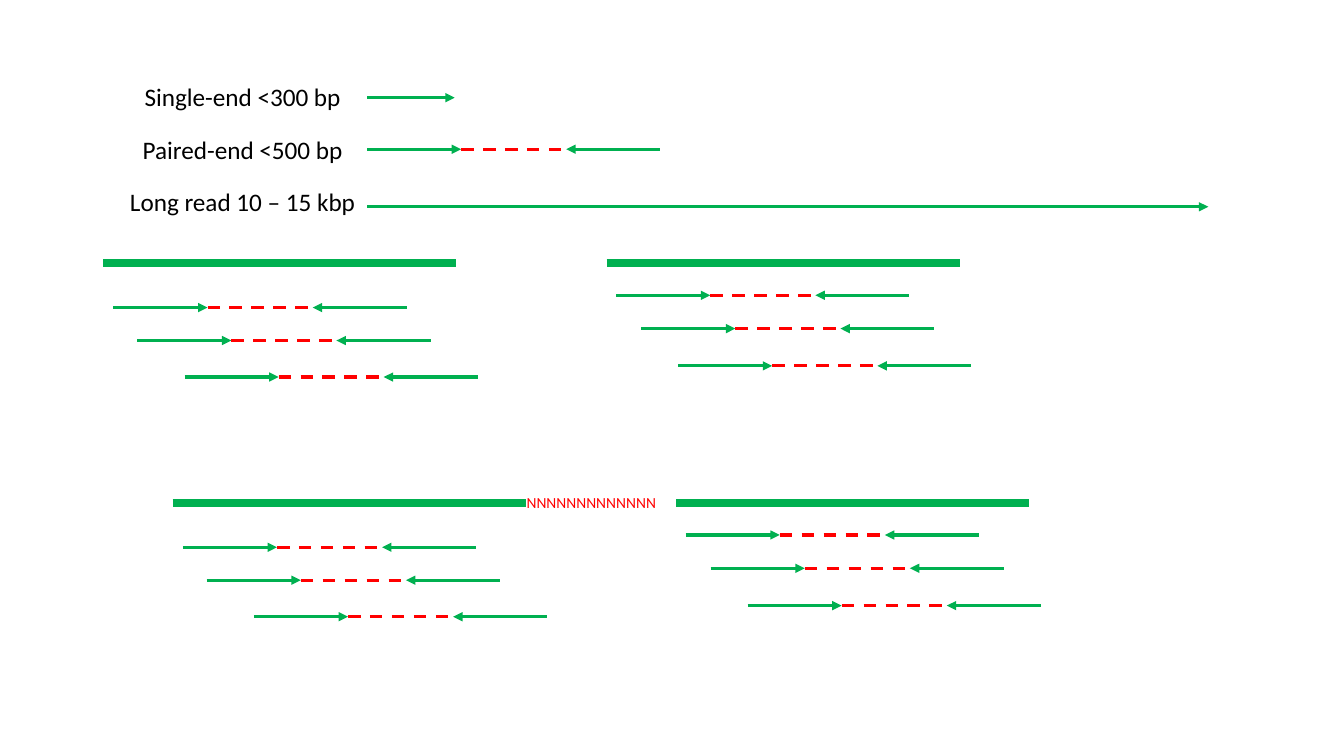
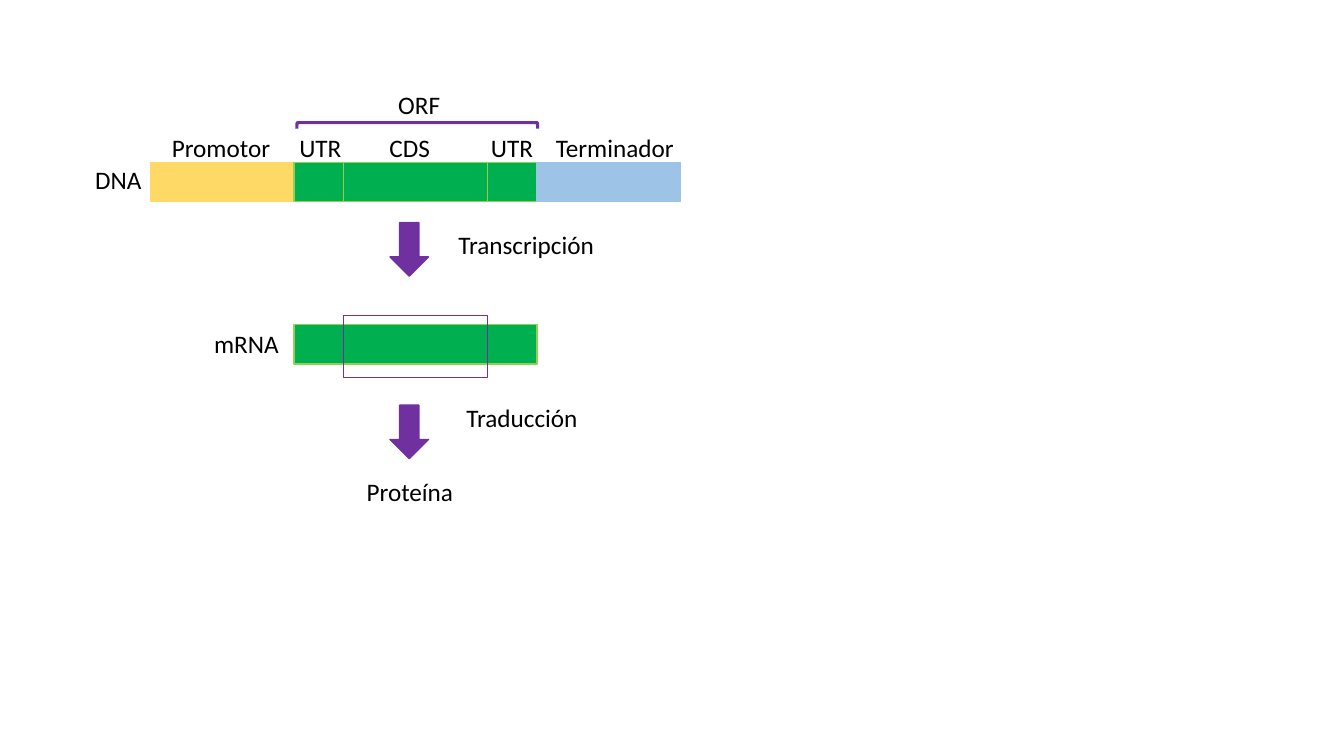
"""Builds two slides on sequencing reads and on gene expression."""
from dataclasses import dataclass

from lxml import etree
from pptx import Presentation
from pptx.dml.color import RGBColor
from pptx.enum.dml import MSO_LINE
from pptx.enum.shapes import MSO_CONNECTOR, MSO_SHAPE
from pptx.enum.text import MSO_AUTO_SIZE, PP_ALIGN
from pptx.oxml.ns import qn
from pptx.util import Cm, Pt

STRAIGHT = MSO_CONNECTOR.STRAIGHT
RECT, DOWN, BRACKET = MSO_SHAPE.RECTANGLE, MSO_SHAPE.DOWN_ARROW, MSO_SHAPE.LEFT_BRACKET
DASH = MSO_LINE.DASH
CENTER = PP_ALIGN.CENTER
FIT = MSO_AUTO_SIZE.SHAPE_TO_FIT_TEXT


@dataclass(frozen=True)
class Theme:
    """Colours, font, type sizes in points and line widths in points."""
    green: str = "00B050"
    lime: str = "92D050"
    red: str = "FF0000"
    purple: str = "7030A0"
    yellow: str = "FFD966"
    blue: str = "9DC3E6"
    black: str = "000000"
    font: str = "Calibri"
    label: int = 18
    gap: int = 11
    thin: float = 1
    read: float = 2.25
    contig: float = 6


class Deck:
    """Holds the style and the current slide; lengths are in centimetres."""

    def __init__(self, theme):
        """Start an empty wide presentation."""
        self.theme = theme
        self.prs = Presentation()
        self.prs.slide_width, self.prs.slide_height = Cm(33.87), Cm(19.05)
        self.slide = None

    def new_slide(self):
        """Add a blank slide and make it current."""
        self.slide = self.prs.slides.add_slide(self.prs.slide_layouts[6])

    def text(self, words, x, y, w, h=1.02, size=None, color=None):
        """Add a one-line label centred in its box."""
        sp = self.slide.shapes.add_textbox(Cm(x), Cm(y), Cm(w), Cm(h))
        tf = sp.text_frame
        tf.word_wrap = False
        tf.auto_size = FIT
        p = tf.paragraphs[0]
        p.alignment = CENTER
        r = p.add_run()
        r.text = words
        r.font.name = self.theme.font
        r.font.size = Pt(size or self.theme.label)
        r.font.color.rgb = RGBColor.from_string(color or self.theme.black)

    def line(self, x, y, length, color, width, arrow=None, dash=None):
        """Add a horizontal line, with an arrow at its head or tail end."""
        sp = self.slide.shapes.add_connector(STRAIGHT, Cm(x), Cm(y), Cm(x + length), Cm(y))
        sp.line.color.rgb = RGBColor.from_string(color)
        sp.line.width = Pt(width)
        if dash:
            sp.line.dash_style = dash
        props = sp.element.spPr
        if arrow:
            etree.SubElement(props.find(qn("a:ln")), qn(f"a:{arrow}End"), type="triangle")
        etree.SubElement(props, qn("a:effectLst"))

    def read(self, x, y, length):
        """Add a single read pointing right."""
        self.line(x, y, length, self.theme.green, self.theme.read, arrow="tail")

    def pair(self, x, y, read=2.37, insert=2.65):
        """Add two facing reads joined by a dashed insert."""
        t = self.theme
        self.read(x, y, read)
        self.line(x + read, y, insert, t.red, t.read, dash=DASH)
        self.line(x + read + insert, y, read, t.green, t.read, arrow="head")

    def contig(self, x, y, offsets):
        """Add a contig bar with paired reads at offsets from its left end."""
        for dx, dy in offsets:
            self.pair(x + dx, y + dy)
        self.line(x, y, 8.9, self.theme.green, self.theme.contig)

    def shape(self, kind, x, y, w, h, fill, line, width=None, turn=0):
        """Add a preset shape, unfilled when fill is None."""
        sp = self.slide.shapes.add_shape(kind, Cm(x), Cm(y), Cm(w), Cm(h))
        sp.shadow.inherit = False
        sp.rotation = turn
        if fill:
            sp.fill.solid()
            sp.fill.fore_color.rgb = RGBColor.from_string(fill)
        else:
            sp.fill.background()
        sp.line.color.rgb = RGBColor.from_string(line)
        sp.line.width = Pt(width or self.theme.thin)

    def segments(self, x, y, parts):
        """Add touching boxes from left to right."""
        for w, fill, line in parts:
            self.shape(RECT, x, y, w, 0.99, fill, line)
            x += w


def reads_slide(deck):
    """Draw the read types and the two assemblies."""
    t = deck.theme
    deck.new_slide()
    labels = ("Single-end <300 bp", "Paired-end <500 bp", "Long read 10 – 15 kbp")
    for i, words in enumerate(labels):
        deck.text(words, 2.98, 1.93 + 1.32 * i, 6.27)
    deck.read(9.25, 2.46, 2.21)
    deck.pair(9.25, 3.76)
    deck.read(9.25, 5.21, 21.2)

    left_reads = ((0.26, 1.12), (0.86, 1.95), (2.05, 2.87))
    right_reads = ((0.24, 0.81), (0.87, 1.65), (1.8, 2.59))
    for x, y in ((2.6, 6.63), (4.35, 12.67)):
        deck.contig(x, y, left_reads)
        deck.contig(x + 12.69, y, right_reads)
    deck.text("NNNNNNNNNNNNN", 13, 12.29, 3.81, 0.74, t.gap, t.red)


def gene_slide(deck):
    """Draw the way from DNA through mRNA to protein."""
    t = deck.theme
    deck.new_slide()
    long, short = 3.62, 1.25
    dna_x = 3.79
    orf_x = dna_x + long
    orf = [(w, t.green, t.lime) for w in (short, long, short)]
    deck.segments(dna_x, 4.09, [(long, t.yellow, t.yellow), *orf, (long, t.blue, t.blue)])
    deck.segments(orf_x, 8.18, orf)
    deck.shape(RECT, orf_x + short, 7.95, long, 1.57, None, t.purple)
    for y in (5.61, 10.21):
        deck.shape(DOWN, 9.83, y, 0.97, 1.35, t.purple, t.purple)
    deck.shape(BRACKET, 10.44, 0.13, 0.15, 6.07, None, t.purple, t.read, 90)

    for words, x, w in (("Promotor", 4.06, 3.02), ("UTR", 7.29, 1.57), ("CDS", 9.55, 1.55),
                        ("UTR", 12.12, 1.57), ("Terminador", 13.74, 3.51)):
        deck.text(words, x, 3.2, w)
    for words, x, y, w in (("ORF", 9.78, 2.13, 1.57), ("DNA", 2.13, 4.01, 1.7),
                           ("Transcripción", 11.28, 5.66, 3.96), ("mRNA", 5.13, 8.15, 2.16),
                           ("Traducción", 11.48, 10.01, 3.35), ("Proteína", 8.97, 11.89, 2.72)):
        deck.text(words, x, y, w)


def main():
    """Build both slides and save them."""
    deck = Deck(Theme())
    reads_slide(deck)
    gene_slide(deck)
    deck.prs.save("out.pptx")


if __name__ == "__main__":
    main()
